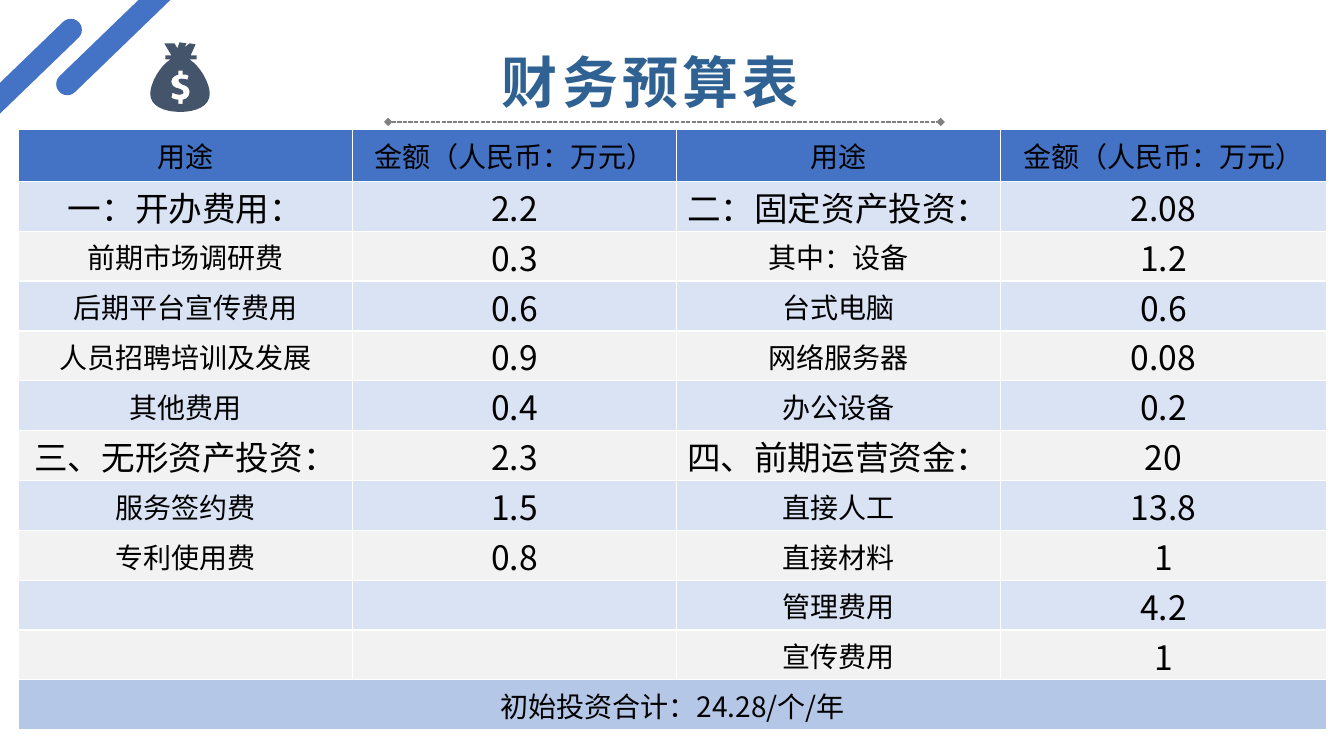
from lxml import etree
from pptx import Presentation
from pptx.dml.color import RGBColor
from pptx.enum.dml import MSO_LINE
from pptx.enum.shapes import MSO_CONNECTOR, MSO_SHAPE
from pptx.enum.text import MSO_ANCHOR, PP_ALIGN
from pptx.oxml.ns import qn
from pptx.util import Inches, Pt

BLUE = RGBColor(0x44, 0x72, 0xC4)
PALE_BLUE = RGBColor(0xDA, 0xE3, 0xF3)
PALE_GRAY = RGBColor(0xF2, 0xF2, 0xF2)
TOTAL_BLUE = RGBColor(0xB4, 0xC7, 0xE7)
TITLE_BLUE = RGBColor(0x2F, 0x62, 0x92)
SLATE = RGBColor(0x44, 0x54, 0x6A)
GRAY = RGBColor(0x80, 0x80, 0x80)
BLACK = RGBColor(0, 0, 0)
CENTER, JUSTIFY = PP_ALIGN.CENTER, PP_ALIGN.JUSTIFY
MIDDLE = MSO_ANCHOR.MIDDLE
ROUNDED, STRAIGHT = MSO_SHAPE.ROUNDED_RECTANGLE, MSO_CONNECTOR.STRAIGHT
DASH = MSO_LINE.SQUARE_DOT
CJK_FONT, TITLE_FONT = "Noto Sans CJK SC", "Open Sans"


def write(para, text, align, size, color, font, bold):
    para.alignment = align
    span = para.add_run()
    span.text = text
    for name, value in {"size": Pt(size), "name": font, "bold": bold}.items():
        setattr(span.font, name, value)
    span.font.color.rgb = color
    etree.SubElement(span.font._element, qn("a:ea"), typeface=CJK_FONT)
    return span


deck = Presentation()
deck.slide_width, deck.slide_height = Inches(13.33), Inches(7.5)
page = deck.slides.add_slide(deck.slide_layouts[6])

# Budget table
SECTION_ROWS = (1, 6)
budget = [
    ("用途", "金额（人民币：万元）", "用途", "金额（人民币：万元）"),
    ("一：开办费用：", "2.2", "二：固定资产投资：", "2.08"),
    ("前期市场调研费", "0.3", "其中：设备", "1.2"),
    ("后期平台宣传费用", "0.6", "台式电脑", "0.6"),
    ("人员招聘培训及发展", "0.9", "网络服务器", "0.08"),
    ("其他费用", "0.4", "办公设备", "0.2"),
    ("三、无形资产投资：", "2.3", "四、前期运营资金：", "20"),
    ("服务签约费", "1.5", "直接人工", "13.8"),
    ("专利使用费", "0.8", "直接材料", "1"),
    ("", "", "管理费用", "4.2"),
    ("", "", "宣传费用", "1"),
    ("初始投资合计：24.28/个/年", "", "", ""),
]
last = len(budget) - 1
column_widths = (3.32, 3.21, 3.21, 3.24)
table_height, header_height = 5.96, 0.52
table = page.shapes.add_table(len(budget), 4, Inches(0.18), Inches(1.28),
                              Inches(sum(column_widths)), Inches(table_height)).table
table.first_row = table.horz_banding = False
for column, width in zip(table.columns, column_widths):
    column.width = Inches(width)
for r, texts in enumerate(budget):
    table.rows[r].height = Inches((table_height - header_height) / last if r else header_height)
    fill = {0: BLUE, last: TOTAL_BLUE}.get(r, PALE_BLUE if r % 2 else PALE_GRAY)
    for c, text in enumerate(texts):
        cell = table.cell(r, c)
        margins = {"margin_left": 0.01, "margin_right": 0.01, "margin_top": 0.01, "margin_bottom": 0}
        for name, value in margins.items():
            setattr(cell, name, Inches(value))
        cell.vertical_anchor = MIDDLE
        for side in ("a:lnL", "a:lnR", "a:lnT", "a:lnB"):
            border = etree.SubElement(cell._tc.get_or_add_tcPr(), qn(side), w=str(Pt(1)))
            paint = etree.SubElement(border, qn("a:solidFill"))
            etree.SubElement(paint, qn("a:srgbClr"), val="FFFFFF")
        cell.fill.solid()
        cell.fill.fore_color.rgb = fill
        if text:
            large = r in SECTION_ROWS or (c % 2 and r > 0)
            write(cell.text_frame.paragraphs[0], text, CENTER, 24 if large else 20,
                  BLACK, CJK_FONT, False)
table.cell(last, 0).merge(table.cell(last, 3))

# Corner stripes
for left, top in ((-0.68, 0.7), (0.35, 0.21)):
    stripe = page.shapes.add_shape(ROUNDED, Inches(left), Inches(top), Inches(1.7), Inches(0.22))
    stripe.adjustments[0] = 0.5
    stripe.rotation = 316
    stripe.shadow.inherit = False
    stripe.fill.solid()
    stripe.fill.fore_color.rgb = BLUE
    stripe.line.fill.background()

# Dashed rule under the title
rule = page.shapes.add_connector(STRAIGHT, Inches(3.85), Inches(1.21), Inches(9.33), Inches(1.21))
rule.line.color.rgb = GRAY
rule.line.width = Pt(1)
rule.line.dash_style = DASH
for end in ("a:headEnd", "a:tailEnd"):
    etree.SubElement(rule.line._get_or_add_ln(), qn(end), type="diamond")
etree.SubElement(rule._element.spPr, qn("a:effectLst"))

# Title
box = page.shapes.add_textbox(Inches(4.88), Inches(0.42), Inches(3.42), Inches(0.77))
box.text_frame.word_wrap = True
title = write(box.text_frame.paragraphs[0], "财务预算表", JUSTIFY, 40, TITLE_BLUE, TITLE_FONT, True)
title.font._element.set("spc", "300")

# Money bag with a dollar sign cut out, in hundredths of an inch:
# a pair is a corner, six numbers are a Bezier curve
dollar = [
    (177, 70), (177, 74), (173, 75, 170, 77, 170, 81), (170, 85, 173, 87, 178, 88),
    (181, 89, 182, 90, 182, 92), (182, 93, 180, 94, 178, 94), (176, 94, 173, 93, 171, 92),
    (170, 97), (172, 98, 174, 99, 177, 99), (177, 103), (181, 103), (181, 99),
    (186, 98, 188, 95, 188, 91), (188, 88, 186, 85, 181, 84), (178, 82, 177, 81, 177, 80),
    (177, 79, 177, 78, 180, 78), (183, 78, 185, 79, 186, 79), (187, 75),
    (186, 74, 184, 74, 181, 74), (181, 70), (177, 70)]
sack = [
    (178, 42), (185, 43), (183, 47), (188, 43), (194, 44), (189, 55), (195, 55), (195, 59),
    (188, 59), (199, 66, 208, 83, 208, 93), (208, 105, 195, 111, 179, 111),
    (162, 111, 149, 105, 149, 93), (149, 83, 158, 66, 169, 59), (164, 59), (164, 55),
    (170, 55), (163, 43), (173, 43), (176, 48), (178, 42)]
outline = page.shapes.build_freeform(*dollar[0], scale=Inches(0.01))
outline.add_line_segments([step[-2:] for step in dollar[1:]], close=True)
outline.move_to(*sack[0])
outline.add_line_segments([step[-2:] for step in sack[1:]], close=True)
bag = outline.convert_to_shape()
segments = list(bag._element.iter(qn("a:lnTo")))
bag_left, bag_top = outline.shape_offset_x, outline.shape_offset_y
for segment, step in zip(segments, dollar[1:] + sack[1:]):
    if len(step) == 6:
        segment.tag = qn("a:cubicBezTo")
        for i in (0, 1):
            x, y = step[2 * i:2 * i + 2]
            control = etree.Element(qn("a:pt"), x=str(x - bag_left), y=str(y - bag_top))
            segment.insert(i, control)
bag.shadow.inherit = False
bag.fill.solid()
bag.fill.fore_color.rgb = SLATE
bag.line.fill.background()

deck.save("out.pptx")
